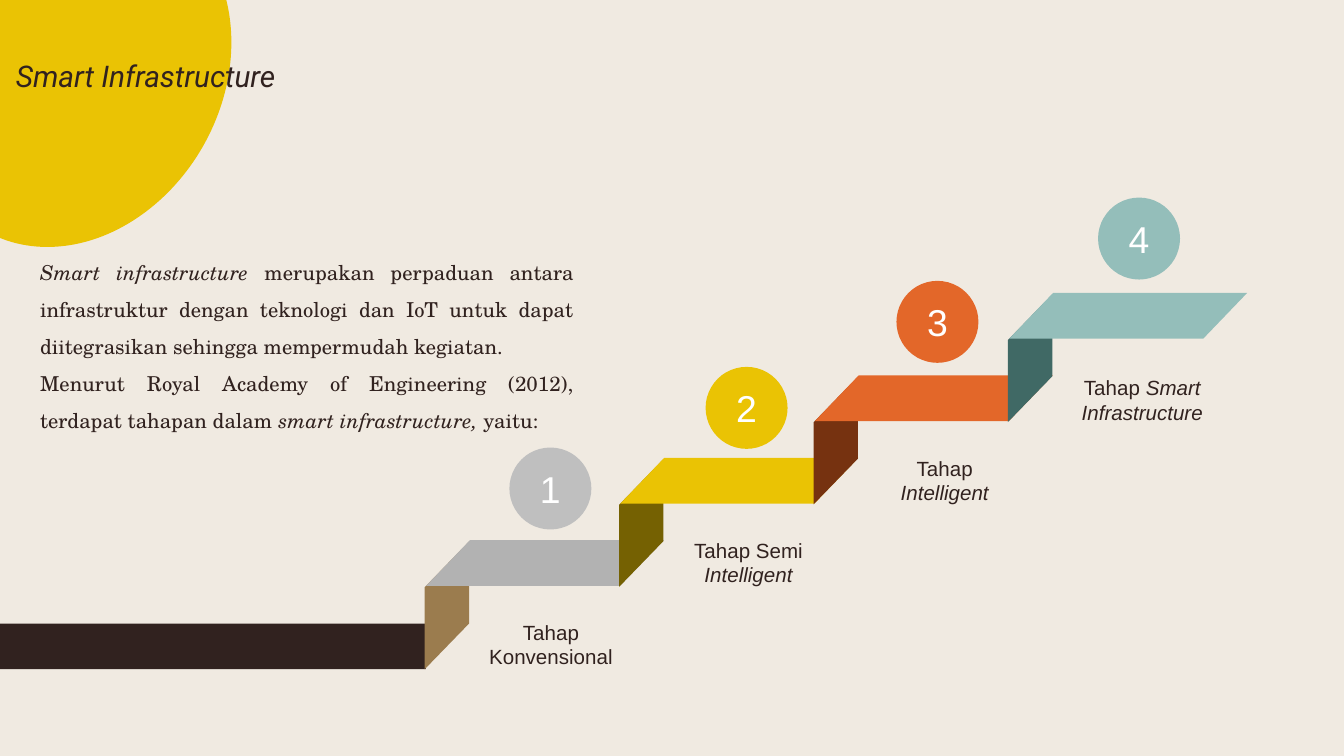
"""Build the Smart Infrastructure staircase slide."""
from dataclasses import dataclass

from pptx import Presentation
from pptx.dml.color import RGBColor
from pptx.enum.shapes import MSO_SHAPE
from pptx.enum.text import MSO_ANCHOR, MSO_AUTO_SIZE, PP_ALIGN
from pptx.util import Inches, Pt


@dataclass(frozen=True)
class Theme:
    paper: str = "F0EAE1"
    ink: str = "31221F"
    white: str = "FFFFFF"
    yellow: str = "EAC304"
    badges: tuple = ("BFBFBF", "EAC304", "E36729", "94BEBA")
    treads: tuple = ("B2B2B2", "EAC304", "E36729", "94BEBA")
    risers: tuple = ("9B7C4E", "756102", "763210", "406965")
    sans: str = "Arial"
    heading: str = "Roboto"
    serif: str = "TeX Gyre Schola"
    title_size: int = 16
    badge_size: int = 20
    text_size: int = 11


THEME = Theme()

STEPS = [
    ([("Tahap Konvensional", False)], (3.6, 4.61), (3.79, 3.33)),
    ([("Tahap Semi ", False), ("Intelligent", True)], (5.07, 4), (5.25, 2.73)),
    ([("Tahap ", False), ("Intelligent", True)], (6.53, 3.39), (6.67, 2.09)),
    ([("Tahap ", False), ("Smart Infrastructure", True)], (8, 2.79), (8.17, 1.47)),
]
FIRST_TREAD, LAST_TREAD = (3.17, 4.02), (7.51, 2.18)

BODY = [
    [("Smart infrastructure ", True),
     ("merupakan perpaduan antara infrastruktur dengan teknologi dan IoT untuk dapat "
      "diitegrasikan sehingga mempermudah kegiatan.", False)],
    [("Menurut Royal Academy of Engineering (2012), terdapat tahapan dalam ", False),
     ("smart infrastructure, ", True), ("yaitu:", False)],
]


def write_text(tf, paragraphs, *, font=THEME.sans, size=THEME.text_size, color=THEME.ink,
               align=PP_ALIGN.LEFT, anchor=MSO_ANCHOR.TOP, insets=(0.1, 0.05),
               line_spacing=None, indent=None, grow=False):
    """Fill a text frame with paragraphs of (text, italic) runs."""
    tf.word_wrap = True
    tf.auto_size = MSO_AUTO_SIZE.SHAPE_TO_FIT_TEXT if grow else MSO_AUTO_SIZE.NONE
    tf.vertical_anchor = anchor
    tf.margin_left = tf.margin_right = Inches(insets[0])
    tf.margin_top = tf.margin_bottom = Inches(insets[1])
    for i, runs in enumerate(paragraphs):
        p = tf.add_paragraph() if i else tf.paragraphs[0]
        p.alignment = align
        if line_spacing:
            p.line_spacing = line_spacing
        if indent:
            pPr = p._p.get_or_add_pPr()
            pPr.set("marL", str(Inches(indent[0])))
            pPr.set("indent", str(Inches(indent[1])))
        for text, italic in runs:
            r = p.add_run()
            r.text = text
            r.font.name = font
            r.font.size = Pt(size)
            r.font.italic = italic
            r.font.color.rgb = RGBColor.from_string(color)


def add_text(s, box, paragraphs, **fmt):
    """Add a text box and write its paragraphs."""
    write_text(s.shapes.add_textbox(*map(Inches, box)).text_frame, paragraphs, **fmt)


def add_block(s, kind, box, color, *, rotation=0, skew=None, flip=False):
    """Add a plain filled shape without outline or shadow."""
    sp = s.shapes.add_shape(kind, *map(Inches, box))
    sp.shadow.inherit = False
    sp.fill.solid()
    sp.fill.fore_color.rgb = RGBColor.from_string(color)
    sp.line.fill.background()
    sp.rotation = rotation
    if skew:
        sp.adjustments[0] = skew
    if flip:
        sp._element.spPr.get_or_add_xfrm().set("flipH", "1")
    return sp


def add_badge(s, number, position, color):
    """Add a numbered circle."""
    sp = add_block(s, MSO_SHAPE.OVAL, (*position, 0.61, 0.61), color)
    write_text(sp.text_frame, [[(str(number), False)]], size=THEME.badge_size,
               color=THEME.white, align=PP_ALIGN.CENTER, anchor=MSO_ANCHOR.MIDDLE,
               insets=(0.07, 0.04))


def add_step(s, index):
    """Add one riser and tread with its badge and label."""
    label, label_at, badge_at = STEPS[index]
    share = index / (len(STEPS) - 1)
    x, y = (a + (b - a) * share for a, b in zip(FIRST_TREAD, LAST_TREAD))
    add_text(s, (*label_at, 1, 0.37), [label], align=PP_ALIGN.CENTER,
             insets=(0, 0), grow=True)
    add_badge(s, index + 1, badge_at, THEME.badges[index])
    add_block(s, MSO_SHAPE.PARALLELOGRAM, (x - 0.32, y + 0.32, 0.95, 0.33),
              THEME.risers[index], rotation=270, skew=1.03, flip=True)
    add_block(s, MSO_SHAPE.PARALLELOGRAM, (x, y, 1.77, 0.34),
              THEME.treads[index], skew=0.96)


def main():
    """Build and save the slide."""
    prs = Presentation()
    prs.slide_width = Inches(10)
    prs.slide_height = prs.slide_width * 9 // 16
    s = prs.slides.add_slide(prs.slide_layouts[6])
    s.background.fill.solid()
    s.background.fill.fore_color.rgb = RGBColor.from_string(THEME.paper)

    add_block(s, MSO_SHAPE.RECTANGLE, (0, 4.64, 3.17, 0.34), THEME.ink)
    for index in range(len(STEPS)):
        add_step(s, index)
    add_block(s, MSO_SHAPE.OVAL, (-0.79, -0.55, 2.7, 2.19), THEME.yellow, rotation=299.5)
    add_text(s, (-0.12, 0.33, 2.36, 0.75), [[("Smart Infrastructure", True)]],
             font=THEME.heading, size=THEME.title_size, insets=(0.1, 0.1),
             indent=(0.5, -0.36))
    add_text(s, (0.2, 1.79, 4.17, 1.49), BODY, font=THEME.serif,
             align=PP_ALIGN.JUSTIFY, line_spacing=1.5, grow=True)
    prs.save("out.pptx")


if __name__ == "__main__":
    main()
